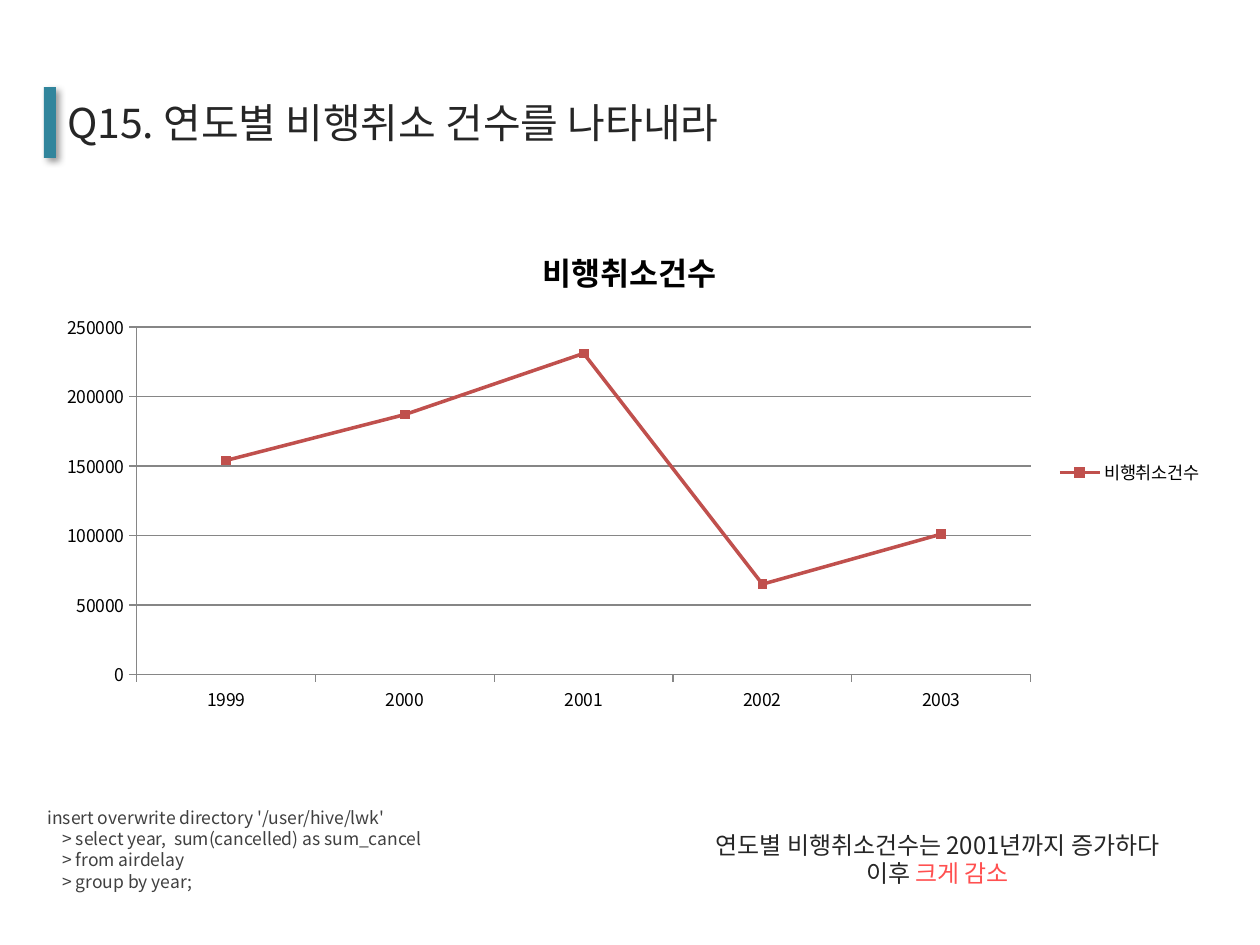
from lxml import etree
from pptx import Presentation
from pptx import util as u
from pptx.chart.data import CategoryChartData
from pptx.dml.color import RGBColor
from pptx.enum import chart as charts, shapes, text
from pptx.oxml import parse_xml
from pptx.oxml.ns import nsdecls, qn

FONT = "Noto Sans CJK KR"
INK = RGBColor(0x26, 0x26, 0x26)
CODE_INK = RGBColor(0x40, 0x40, 0x40)
ACCENT = RGBColor(0xFF, 0x50, 0x50)
TEAL = RGBColor(0x31, 0x85, 0x9C)
RED = RGBColor(0xC0, 0x50, 0x4D)
GRAY = RGBColor(0x86, 0x86, 0x86)
BLACK = RGBColor(0, 0, 0)
WHITE = RGBColor(0xFF, 0xFF, 0xFF)


def px(*lengths):
    return [u.Emu(round(length * 914400 / 126)) for length in lengths]


def add_run(paragraph, words, size, color):
    run = paragraph.add_run()
    run.text = words
    run.font.name = FONT
    run.font.size = u.Pt(size)
    run.font.color.rgb = color
    east_asian = etree.SubElement(run.font._element, qn("a:ea"))
    east_asian.set("typeface", FONT)


presentation = Presentation()
presentation.slide_width, presentation.slide_height = px(1260, 945)
slide = presentation.slides.add_slide(presentation.slide_layouts[5])

# Title
title = slide.shapes.title
title.left, title.top, title.width, title.height = px(0, 71, 1260, 103)
frame = title.text_frame
frame.auto_size = text.MSO_AUTO_SIZE.NONE
frame.vertical_anchor = text.MSO_ANCHOR.MIDDLE
frame.margin_left = px(67)[0]
frame.paragraphs[0].alignment = text.PP_ALIGN.LEFT
add_run(frame.paragraphs[0], "Q15. 연도별 비행취소 건수를 나타내라", 23.4, INK)

# Accent bar with a soft shadow
bar = slide.shapes.add_shape(shapes.MSO_SHAPE.RECTANGLE, *px(44, 87, 12, 71))
bar.fill.solid()
bar.fill.fore_color.rgb = TEAL
bar.line.fill.background()
bar._element.spPr.append(parse_xml(
    f'<a:effectLst {nsdecls("a")}><a:outerShdw blurRad="50800" dist="38100" '
    'dir="2700000" algn="tl" rotWithShape="0"><a:srgbClr val="000000">'
    '<a:alpha val="40000"/></a:srgbClr></a:outerShdw></a:effectLst>'))

# Conclusion
conclusion = slide.shapes.add_textbox(*px(646, 800, 583, 118))
frame = conclusion.text_frame
frame.word_wrap = True
frame.vertical_anchor = text.MSO_ANCHOR.MIDDLE
lines = [
    [("연도별 비행취소건수는 2001년까지 증가하다", INK)],
    [("이후 ", INK), ("크게 감소", ACCENT)],
]
for index, runs in enumerate(lines):
    paragraph = frame.add_paragraph() if index else frame.paragraphs[0]
    paragraph.alignment = text.PP_ALIGN.CENTER
    paragraph.line_spacing = u.Pt(16)
    for words, color in runs:
        add_run(paragraph, words, 13.7, color)

# Query
query = slide.shapes.add_shape(shapes.MSO_SHAPE.RECTANGLE, *px(35, 800, 562, 118))
query.shadow.inherit = False
query.fill.solid()
query.fill.fore_color.rgb = WHITE
query.line.fill.background()
frame = query.text_frame
frame.word_wrap = True
frame.vertical_anchor = text.MSO_ANCHOR.TOP
code = [
    "insert overwrite directory '/user/hive/lwk'",
    "> select year,  sum(cancelled) as sum_cancel",
    "> from airdelay",
    "> group by year;",
]
for index, words in enumerate(code):
    paragraph = frame.add_paragraph() if index else frame.paragraphs[0]
    paragraph.alignment = text.PP_ALIGN.LEFT
    paragraph.line_spacing = u.Pt(12.2)
    if index:
        paragraph._p.get_or_add_pPr().set("marL", str(px(15)[0]))
    add_run(paragraph, words, 10, CODE_INK)

# Line chart
data = CategoryChartData(number_format="General")
data.categories = ["1999", "2000", "2001", "2002", "2003"]
data.add_series("비행취소건수", [154000, 187000, 231000, 65000, 101000])
chart = slide.shapes.add_chart(
    charts.XL_CHART_TYPE.LINE_MARKERS, *px(44, 223, 1171, 499), data).chart
chart.font.name = FONT
chart.font.size = u.Pt(10)
chart.font.color.rgb = BLACK

chart.has_title = True
paragraph = chart.chart_title.text_frame.paragraphs[0]
add_run(paragraph, "비행취소건수", 18, BLACK)
paragraph.runs[0].font.bold = True

chart.has_legend = True
chart.legend.position = charts.XL_LEGEND_POSITION.RIGHT
chart.legend.include_in_layout = False

value_axis = chart.value_axis
value_axis.minimum_scale, value_axis.maximum_scale = 0, 250000
value_axis.major_unit = 50000
value_axis.has_major_gridlines = True
for axis in (chart.category_axis, value_axis):
    axis.major_tick_mark = charts.XL_TICK_MARK.OUTSIDE
for part in (chart.category_axis, value_axis, value_axis.major_gridlines):
    part.format.line.color.rgb = GRAY
    part.format.line.width = u.Pt(0.75)

plot = chart.plots[0]
plot.vary_by_categories = False
series = plot.series[0]
series.smooth = False
series.format.line.color.rgb = RED
series.format.line.width = u.Pt(2)
series.marker.style = charts.XL_MARKER_STYLE.SQUARE
series.marker.size = 5
series.marker.format.fill.solid()
series.marker.format.fill.fore_color.rgb = RED
series.marker.format.line.color.rgb = RED

presentation.save("out.pptx")
